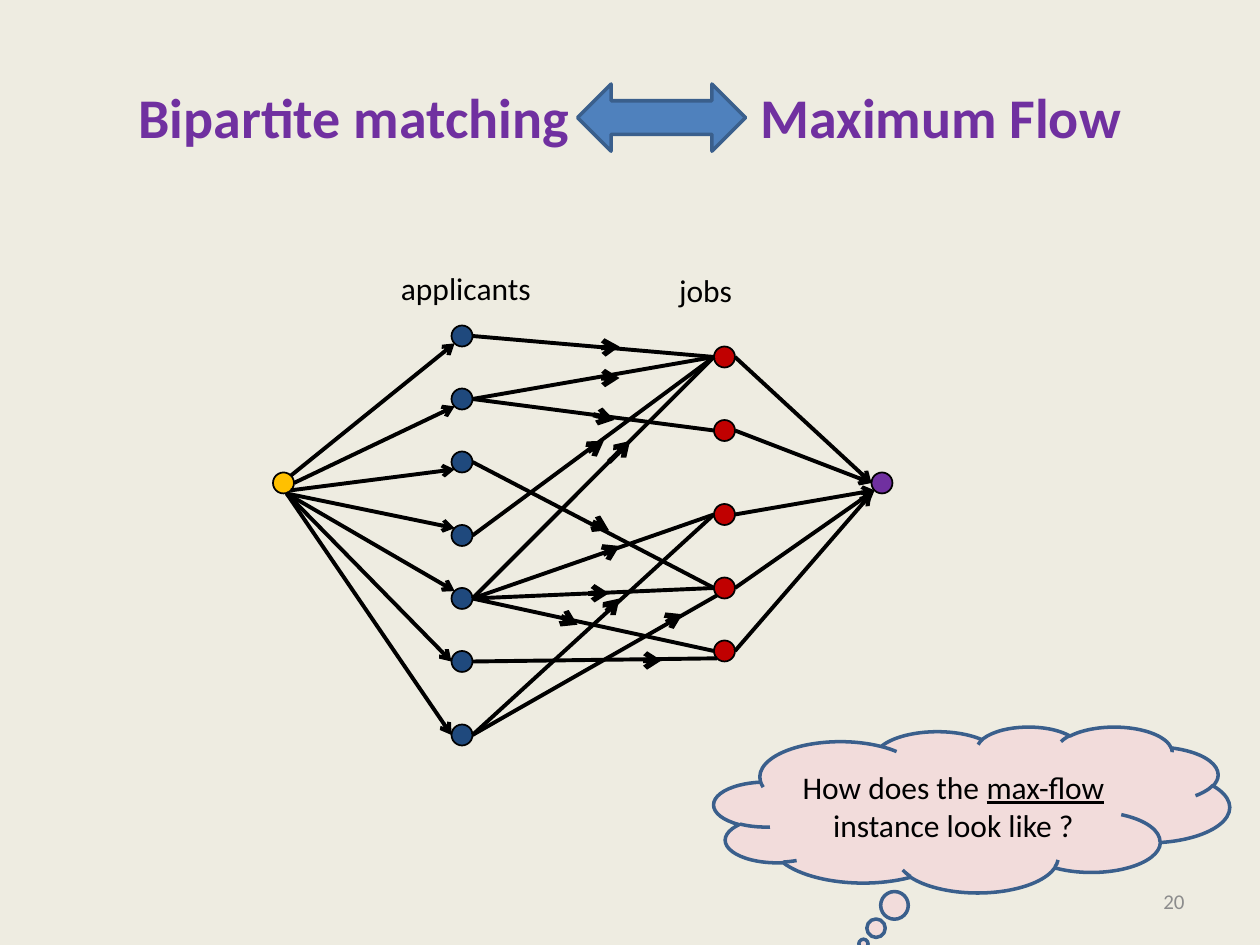
from lxml import etree
from pptx import Presentation
from pptx.dml.color import RGBColor
from pptx.enum.shapes import MSO_CONNECTOR, MSO_SHAPE
from pptx.enum.text import MSO_ANCHOR, PP_ALIGN
from pptx.oxml.ns import qn
from pptx.util import Inches, Pt

LINE = MSO_CONNECTOR.STRAIGHT
OVAL, CLOUD = MSO_SHAPE.OVAL, MSO_SHAPE.CLOUD_CALLOUT
TWO_WAY = MSO_SHAPE.LEFT_RIGHT_ARROW
MID = MSO_ANCHOR.MIDDLE
LEFT, CENTER, RIGHT = PP_ALIGN.LEFT, PP_ALIGN.CENTER, PP_ALIGN.RIGHT

BLACK = RGBColor(0x00, 0x00, 0x00)
GREY = RGBColor(0x8C, 0x8C, 0x8C)
CREAM = RGBColor(0xEE, 0xEC, 0xE1)
PURPLE = RGBColor(0x70, 0x30, 0xA0)
GOLD = RGBColor(0xFF, 0xC0, 0x00)
NAVY = RGBColor(0x1F, 0x49, 0x7D)
RED = RGBColor(0xC0, 0x00, 0x00)
BLUE = RGBColor(0x4F, 0x81, 0xBD)
STEEL = RGBColor(0x3A, 0x5F, 0x8C)
PINK = RGBColor(0xF2, 0xDC, 0xDB)

# Points on a node of two by two grid cells
DOT = 2
E, W, S = (2, 1), (0, 1), (1.3, 2)
NE, SE, NW, SW = (1.7, 0.3), (1.7, 1.7), (0.3, 0.3), (0.3, 1.7)
BASE = (0, 2)


def unit(n):
    """Grid of 120 columns by 90 rows, twelve cells to the inch."""
    return Inches(n / 12)


def port(node, side):
    return node[0] + side[0], node[1] + side[1]


class Deck:
    font = "Calibri"

    def __init__(self):
        self.prs = Presentation()
        self.prs.slide_width, self.prs.slide_height = unit(120), unit(90)
        self.slide = self.prs.slides.add_slide(self.prs.slide_layouts[5])
        fill = self.slide.background.fill
        fill.solid()
        fill.fore_color.rgb = CREAM

    def style(self, par, size, color, align=LEFT, bold=False):
        par.alignment = align
        for run in par.runs:
            font = run.font
            font.name, font.size, font.bold = self.font, Pt(size), bold
            font.color.rgb = color

    def place(self, shape, box):
        shape.left, shape.top, shape.width, shape.height = map(unit, box)

    def title(self, text, box, inset, stop):
        shape = self.slide.shapes.title
        self.place(shape, box)
        frame = shape.text_frame
        frame.text = text
        frame.vertical_anchor = MID
        frame.margin_left = unit(inset)
        par = frame.paragraphs[0]
        tabs = etree.SubElement(par._p.get_or_add_pPr(), qn("a:tabLst"))
        etree.SubElement(tabs, qn("a:tab"), pos=str(unit(stop)), algn="l")
        self.style(par, 32, PURPLE, bold=True)

    def label(self, text, box, size=18, color=BLACK, align=LEFT, wrap=False):
        frame = self.slide.shapes.add_textbox(*map(unit, box)).text_frame
        frame.word_wrap = wrap
        frame.text = text
        frame.vertical_anchor = MID
        self.style(frame.paragraphs[0], size, color, align)

    def shape(self, kind, box, fill, line=BLACK, width=1):
        shape = self.slide.shapes.add_shape(kind, *map(unit, box))
        shape.shadow.inherit = False
        shape.fill.solid()
        shape.fill.fore_color.rgb = fill
        shape.line.color.rgb = line
        shape.line.width = Pt(width)
        return shape

    def dot(self, node, fill):
        self.shape(OVAL, (*node, DOT, DOT), fill)

    def edge(self, start, end, width=2.25, arrow=True):
        link = self.slide.shapes.add_connector(
            LINE, *map(unit, (*start, *end)))
        link.line.color.rgb = BLACK
        link.line.width = Pt(width)
        if arrow:
            etree.SubElement(link.line._get_or_add_ln(),
                             qn("a:tailEnd"), type="arrow")
        etree.SubElement(link._element.spPr, qn("a:effectLst"))

    def cloud(self, parts, box, tip):
        shape = self.shape(CLOUD, box, PINK, STEEL, 2)
        shape.adjustments[0], shape.adjustments[1] = tip
        frame = shape.text_frame
        frame.word_wrap = True
        frame.vertical_anchor = MID
        par = frame.paragraphs[0]
        for text, under in parts:
            run = par.add_run()
            run.text = text
            run.font.underline = under
        self.style(par, 18, BLACK, CENTER)


def main():
    deck = Deck()
    deck.title("Bipartite matching\tMaximum Flow", (6, 3.6, 108, 15), 7.2, 59.2)
    deck.label("20", (86, 83.4, 28, 4.8), 12, GREY, RIGHT, True)

    # Nodes of the flow network
    source, sink = (26, 45), (83, 45)
    people = [(43, row) for row in (31, 37, 43, 50, 56, 62, 69)]
    jobs = [(68, row) for row in (33, 40, 48, 55, 61)]
    for nodes, fill in ((jobs, RED), (people, NAVY),
                        ([sink], PURPLE), ([source], GOLD)):
        for node in nodes:
            deck.dot(node, fill)
    deck.label("applicants", (37, 25, 14.9, 4.8))
    deck.label("jobs", (63.5, 25.2, 7.4, 4.8))

    # Edges from applicants to jobs
    pairs = [(0, 0, W), (1, 0, W), (1, 1, W), (2, 3, W), (3, 0, W), (4, 0, W),
             (4, 2, W), (4, 3, W), (4, 4, W), (5, 4, SW), (6, 2, W), (6, 3, SW)]
    for who, job, side in pairs:
        deck.edge(port(people[who], E), port(jobs[job], side), arrow=False)

    # Direction marks on those edges: start, then run and rise
    marks = [(57, 50, 1, 0.5), (58, 44, 2, -2), (58, 58, 1, -1),
             (61.5, 62.9, 1.5, 0), (58, 52.5, 1, -0.5), (57.5, 33.1, 1.5, -0.1),
             (57.5, 36, 1.5, 0), (56.5, 39.5, 2, 0.5), (56, 43, 1.5, -1),
             (56, 56.5, 2, 0), (64, 59, 1, -0.5), (54, 59, 1, 0.5)]
    for x, y, run, rise in marks:
        deck.edge((x, y), (x + run, y + rise), 3)

    # Edges out of the source and into the sink
    outs = [(NE, SW), (E, SW), (SE, SW), (S, NW), (S, NW), (S, W), (S, W)]
    for node, (near, far) in zip(people, outs):
        deck.edge(port(source, near), port(node, far))
    for node, side in zip(jobs, (W, W, SW, SW, BASE)):
        deck.edge(port(node, E), port(sink, side))

    # Title arrow and question
    deck.shape(TWO_WAY, (55, 8, 16, 6.4), BLUE, STEEL, 2)
    deck.cloud([("How does the ", False), ("max-flow", True),
                (" instance look like ?", False)],
               (68, 69.2, 49.1, 15.8), (-0.21, 0.81))
    deck.prs.save("out.pptx")


if __name__ == "__main__":
    main()
